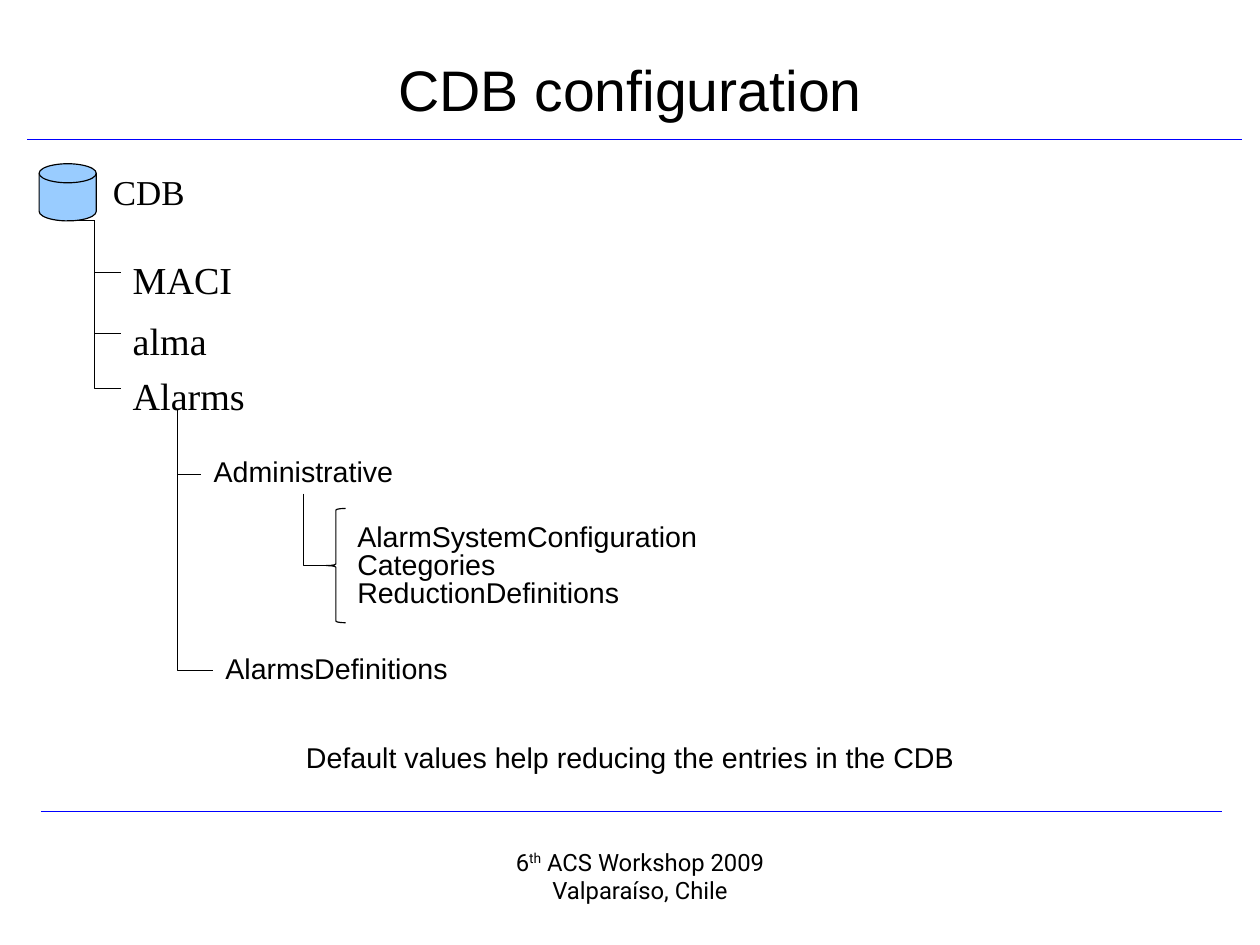
import pptx
import pptx.dml.color
import pptx.enum.shapes
import pptx.enum.text
import pptx.oxml.ns
import pptx.util
from lxml import etree

Cm = pptx.util.Cm
ALIGN = pptx.enum.text.PP_ALIGN
SHAPE = pptx.enum.shapes.MSO_SHAPE
CONNECTOR = pptx.enum.shapes.MSO_CONNECTOR

BLACK, BLUE, LIGHT_BLUE = "000000", "0000FF", "99CCFF"
SANS = {"name": "Arial", "size": pptx.util.Pt(18)}
SERIF = {"name": "Times New Roman", "size": pptx.util.Pt(24)}
SERIF_SMALL = {"name": "Times New Roman", "size": pptx.util.Pt(22)}
TITLE = {"name": "Arial", "size": pptx.util.Pt(36)}
FOOTER = {"name": "Roboto", "size": pptx.util.Pt(15)}


def color(hex_string):
    return pptx.dml.color.RGBColor.from_string(hex_string)


class SlideBuilder:
    line_width = pptx.util.Pt(0.75)

    def __init__(self, slide):
        self.slide = slide

    def fill_text(self, frame, lines, font, spacing, alignment):
        """Each line is a list of (text, is_superscript) pairs or a string."""
        for index, line in enumerate(lines):
            paragraph = frame.paragraphs[0] if index == 0 else frame.add_paragraph()
            paragraph.alignment = alignment
            paragraph.line_spacing = spacing
            for text, superscript in [(line, False)] if isinstance(line, str) else line:
                run = paragraph.add_run()
                run.text = text
                for name, value in font.items():
                    setattr(run.font, name, value)
                run.font.color.rgb = color(BLACK)
                if superscript:
                    run._r.get_or_add_rPr().set("baseline", "33000")

    def title(self, text, left, top, width, height):
        title = self.slide.shapes.title
        placement = {"left": left, "top": top, "width": width, "height": height}
        for name, value in placement.items():
            setattr(title, name, Cm(value))
        frame = title.text_frame
        frame_format = {"margin_left": 0, "margin_right": 0, "margin_top": 0,
                        "margin_bottom": 0, "word_wrap": True,
                        "vertical_anchor": pptx.enum.text.MSO_ANCHOR.MIDDLE}
        for name, value in frame_format.items():
            setattr(frame, name, value)
        self.fill_text(frame, [text], TITLE, 0.87, ALIGN.CENTER)

    def text(self, lines, left, top, width, height, font=SANS, spacing=0.81,
             alignment=ALIGN.LEFT):
        box = self.slide.shapes.add_textbox(Cm(left), Cm(top), Cm(width), Cm(height))
        box.text_frame.word_wrap = False
        self.fill_text(box.text_frame, lines, font, spacing, alignment)

    def shape(self, kind, left, top, width, height, fill=None):
        shape = self.slide.shapes.add_shape(
            kind, Cm(left), Cm(top), Cm(width), Cm(height))
        shape.shadow.inherit = False
        if fill:
            shape.fill.solid()
            shape.fill.fore_color.rgb = color(fill)
        else:
            shape.fill.background()
        shape.line.color.rgb = color(BLACK)
        shape.line.width = self.line_width

    def line(self, start, end, line_color=BLACK, kind=CONNECTOR.STRAIGHT):
        connector = self.slide.shapes.add_connector(
            kind, *(Cm(value) for value in (*start, *end)))
        connector.line.color.rgb = color(line_color)
        connector.line.width = self.line_width
        etree.SubElement(connector._element.spPr, pptx.oxml.ns.qn("a:effectLst"))
        return connector

    def corner(self, start, end):
        """Run down, then right: a mirrored corner turned by 270 degrees."""
        center_x, center_y = (start[0] + end[0]) / 2, (start[1] + end[1]) / 2
        half_width, half_height = (end[0] - start[0]) / 2, (end[1] - start[1]) / 2
        connector = self.line((center_x + half_height, center_y - half_width),
                              (center_x - half_height, center_y + half_width),
                              kind=CONNECTOR.ELBOW)
        properties = connector._element.spPr
        properties.find(pptx.oxml.ns.qn("a:xfrm")).set("rot", "16200000")
        properties.find(pptx.oxml.ns.qn("a:prstGeom")).set("prst", "bentConnector2")


def main():
    presentation = pptx.Presentation()
    presentation.slide_width, presentation.slide_height = Cm(28), Cm(21)
    slide = presentation.slides.add_slide(presentation.slide_layouts[5])
    builder = SlideBuilder(slide)

    # Title, rules and footer
    builder.title("CDB configuration", 1.4, 0.33, 25.2, 3.5)
    builder.line((0.61, 3.1), (27.61, 3.1), BLUE)
    builder.line((0.91, 18.03), (27.15, 18.03), BLUE)
    builder.text([[("6", False), ("th", True), (" ACS Workshop 2009", False)],
                  "Valparaíso, Chile"],
                 10.87, 18.74, 6.71, 1.5, FOOTER, 0.98, ALIGN.CENTER)

    # Database and its first level
    builder.shape(SHAPE.FLOWCHART_MAGNETIC_DISK, 0.87, 3.64, 1.27, 1.27, LIGHT_BLUE)
    builder.text(["CDB"], 2.26, 3.66, 2.2, 1.12, SERIF_SMALL, 1.0)
    for name, top, width in (("MACI", 5.58, 2.8), ("alma", 6.93, 2.3),
                             ("Alarms", 8.15, 3.1)):
        builder.text([name], 2.7, top, width, 0.97, SERIF, 1.0)
        builder.line((1.5, 4.9), (2.7, top + 0.48), kind=CONNECTOR.ELBOW)

    # Children of Alarms
    alarms_foot = (3.94, 9.12)
    for name, left, top, width in (("Administrative", 4.5, 10.11, 4.6),
                                   ("AlarmsDefinitions", 4.76, 14.48, 5.6)):
        builder.text([name], left, top, width, 0.89)
        builder.corner(alarms_foot, (left - 0.03, top + 0.43))

    # Children of Administrative
    builder.corner((6.75, 10.97), (7.25, 12.57))
    builder.shape(SHAPE.LEFT_BRACE, 7.25, 11.3, 0.43, 2.54)
    builder.text(["AlarmSystemConfiguration", "Categories", "ReductionDefinitions"],
                 7.69, 11.55, 8.3, 2.11)

    # Closing remark
    builder.text(["Default values help reducing the entries in the CDB"],
                 6.55, 16.46, 14.91, 0.89)

    presentation.save("out.pptx")


if __name__ == "__main__":
    main()
